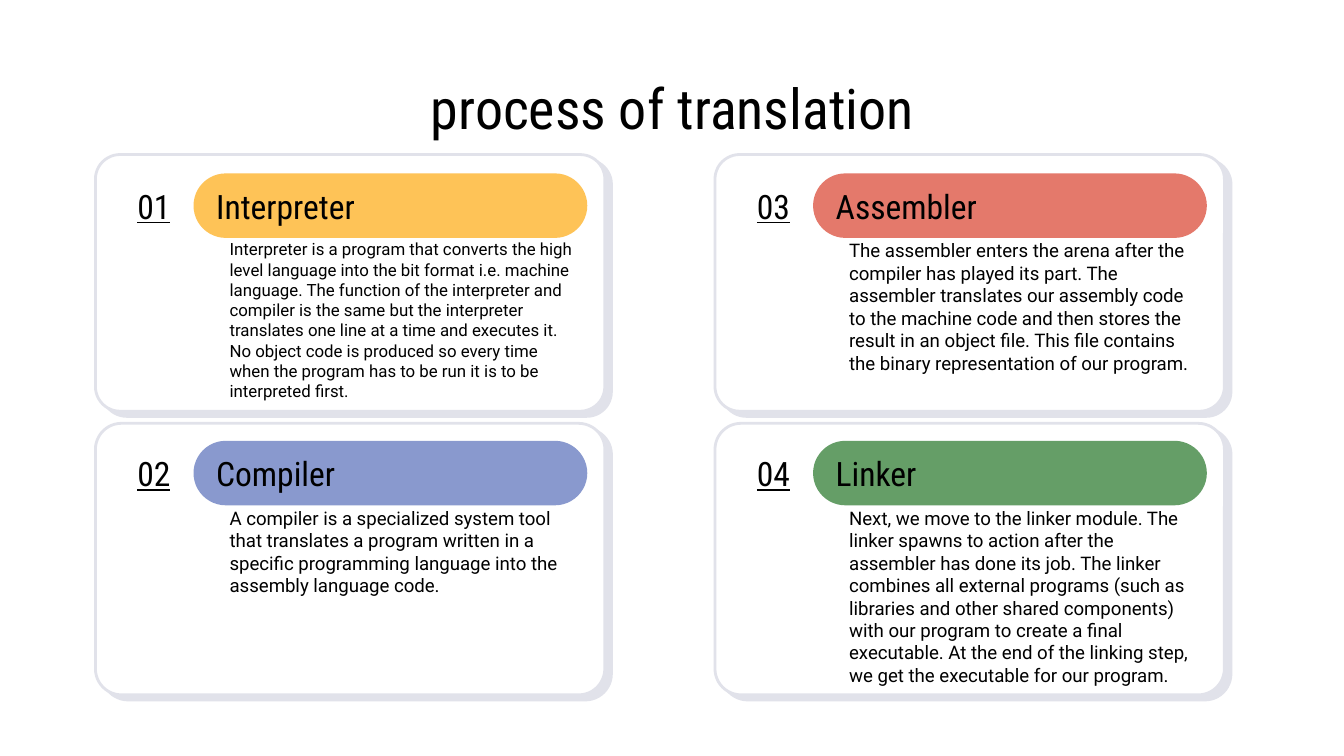
"""Build a slide with four cards that explain the process of translation."""
from lxml import etree
from pptx import Presentation
from pptx.dml.color import RGBColor
from pptx.enum.shapes import MSO_SHAPE
from pptx.enum.text import MSO_ANCHOR, PP_ALIGN
from pptx.oxml.ns import qn
from pptx.util import Inches, Pt

ROUNDED = MSO_SHAPE.ROUNDED_RECTANGLE
TOP, MIDDLE = MSO_ANCHOR.TOP, MSO_ANCHOR.MIDDLE
LEFT, CENTER = PP_ALIGN.LEFT, PP_ALIGN.CENTER
HEADING_FONT, BODY_FONT = "Roboto Condensed", "Roboto"
CARD_WIDTH = 3.79
COLUMN_LEFTS = [0.71, 5.32]
ROWS = [
    {"card_top": 1.15, "card_height": 1.91, "number_top": 1.32, "pill_top": 1.29},
    {"card_top": 3.15, "card_height": 2.02, "number_top": 3.31, "pill_top": 3.28},
]
STEPS = [
    ("Interpreter", "FEC357", 9,
     "Interpreter is a program that converts the high level language into the bit "
     "format i.e. machine language. The function of the interpreter and compiler is "
     "the same but the interpreter translates one line at a time and executes it. No "
     "object code is produced so every time when the program has to be run it is to "
     "be interpreted first."),
    ("Compiler", "8999CE", 10,
     "A compiler is a specialized system tool that translates a program written in a "
     "specific programming language into the assembly language code."),
    ("Assembler", "E4796B", 10,
     "The assembler enters the arena after the compiler has played its part. The "
     "assembler translates our assembly code to the machine code and then stores the "
     "result in an object file. This file contains the binary representation of our "
     "program."),
    ("Linker", "659E67", 10,
     "Next, we move to the linker module. The linker spawns to action after the "
     "assembler has done its job. The linker combines all external programs (such as "
     "libraries and other shared components) with our program to create a final "
     "executable. At the end of the linking step, we get the executable for our "
     "program."),
]


def color(value):
    return RGBColor.from_string(value)


def write(box, text, size, font=HEADING_FONT, align=LEFT, anchor=MIDDLE):
    frame = box.text_frame
    frame.word_wrap = True
    frame.vertical_anchor = anchor
    frame.margin_left = frame.margin_right = Inches(0.1)
    frame.margin_top = frame.margin_bottom = Inches(0.1)
    para = frame.paragraphs[0]
    para.text = text
    para.alignment = align
    para.font.name = font
    para.font.size = Pt(size)
    para.font.color.rgb = color("000000")
    return para


deck = Presentation()
deck.slide_width = Inches(10)
deck.slide_height = Inches(10 * 9 / 16)
page = deck.slides.add_slide(deck.slide_layouts[6])

title = page.shapes.add_textbox(Inches(0.79), Inches(0.59), Inches(8.43), Inches(0.42))
write(title, "process of translation", 30, align=CENTER)

for index, (name, fill, size, description) in enumerate(STEPS):
    left = COLUMN_LEFTS[index // 2]
    row = ROWS[index % 2]
    height = row["card_height"]
    turn_shift = (CARD_WIDTH - height) / 2

    card = page.shapes.add_shape(
        ROUNDED, Inches(left + turn_shift), Inches(row["card_top"] - turn_shift),
        Inches(height), Inches(CARD_WIDTH))
    card.rotation = 90
    card.adjustments[0] = 0.096
    card.fill.solid()
    card.fill.fore_color.rgb = color("FFFFFF")
    card.line.color.rgb = color("E1E2EA")
    card.line.width = Pt(1.5)
    card.shadow.inherit = False
    effects = card._element.spPr.find(qn("a:effectLst"))
    shadow = etree.SubElement(
        effects, qn("a:outerShdw"), blurRad="0", dist=str(Pt(4.5)),
        dir=str(38 * 60000), algn="bl", rotWithShape="0")
    etree.SubElement(shadow, qn("a:srgbClr"), val="E1E2EA")

    number = page.shapes.add_textbox(
        Inches(left + 0.14), Inches(row["number_top"]), Inches(0.59), Inches(0.42))
    write(number, f"{index + 1:02}", 18, align=CENTER).font.underline = True

    group = page.shapes.add_group_shape()
    pill = group.shapes.add_shape(
        ROUNDED, Inches(left + 0.73), Inches(row["pill_top"]), Inches(2.93), Inches(0.48))
    pill.adjustments[0] = 0.5
    pill.fill.solid()
    pill.fill.fore_color.rgb = color(fill)
    pill.line.fill.background()
    pill.shadow.inherit = False
    write(pill, name, 18)

    body = group.shapes.add_textbox(
        Inches(left + 0.73), Inches(row["pill_top"] + 0.39), Inches(2.93), Inches(0.53))
    para = write(body, description, size, font=BODY_FONT, anchor=TOP)
    properties = para._p.get_or_add_pPr()
    properties.set("marL", str(Inches(0.17)))
    properties.set("indent", "0")

deck.save("out.pptx")
